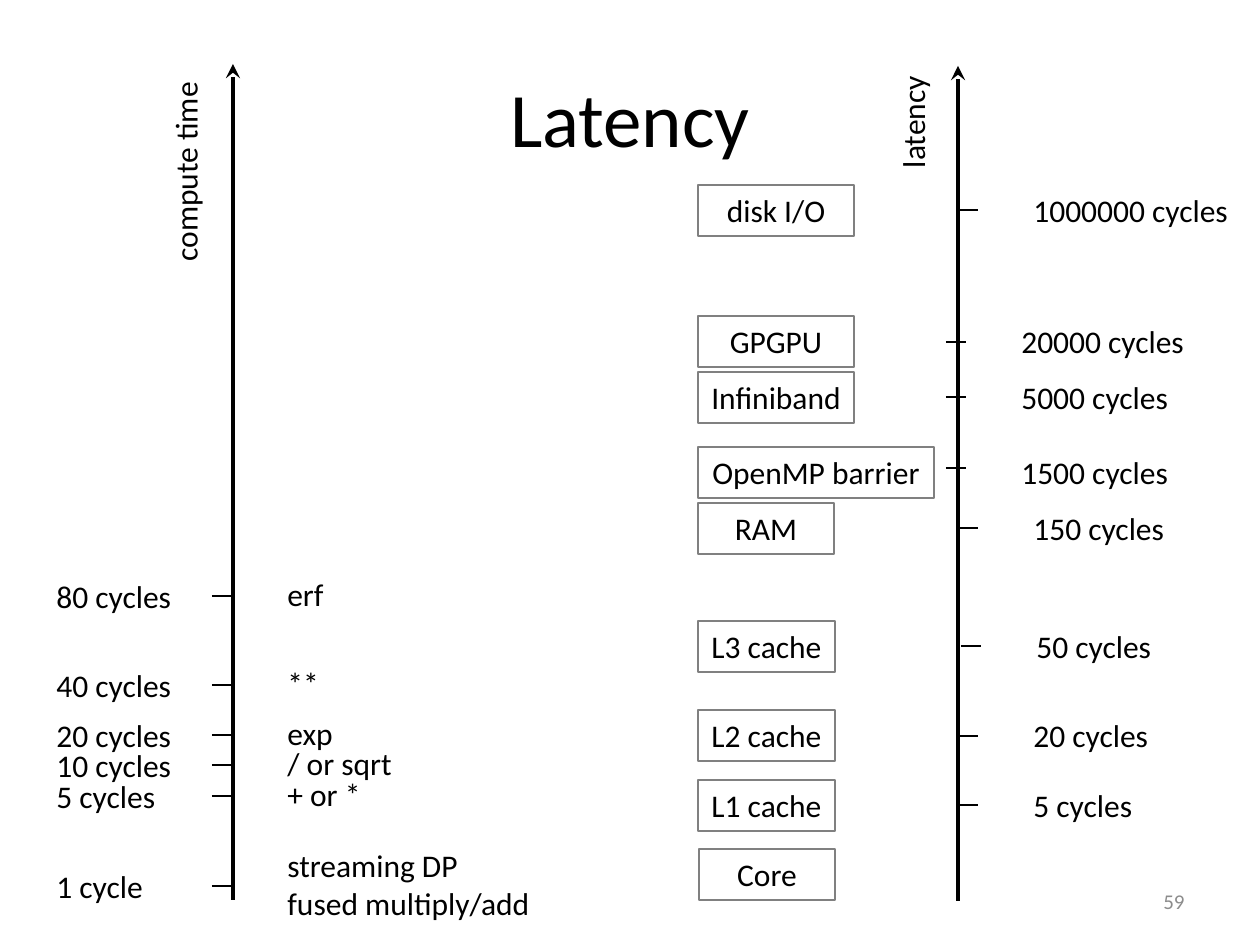
import pptx
import pptx.util
import pptx.dml.color
import pptx.enum.shapes
import pptx.enum.text
import pptx.oxml
import pptx.oxml.ns

ALIGN = pptx.enum.text.PP_ALIGN
ANCHOR = pptx.enum.text.MSO_ANCHOR
AUTO = pptx.enum.text.MSO_AUTO_SIZE

# Content: what, box width, cycles, label width, row top, tick y, tick x
LATENCIES = [
    ("L1 cache", 137, "5 cycles", 125, 780, 805, 958),
    ("L2 cache", 137, "20 cycles", 141, 710, 736, 958),
    ("L3 cache", 137, "50 cycles", 141, 621, 646, 961),
    ("RAM", 136, "150 cycles", 158, 503, 528, 958),
    ("OpenMP barrier", 236, "1500 cycles", 174, 447, 468, 946),
    ("Infiniband", 156, "5000 cycles", 174, 372, 397, 946),
    ("GPGPU", 156, "20000 cycles", 190, 316, 342, 946),
    ("disk I/O", 156, "1000000 cycles", 222, 185, 210, 958),
]
# Content: cycles, label width, operation, operation width, height, tick y
COMPUTE_TIMES = [
    ("1 cycle", 113, "streaming DP\vfused multiply/add", 271, 89, 886),
    ("5 cycles", 125, "+ or *", 100, 51, 796),
    ("10 cycles", 141, "/ or sqrt", 131, 51, 765),
    ("20 cycles", 141, "exp", 72, 51, 735),
    ("40 cycles", 141, "**", 57, 51, 685),
    ("80 cycles", 141, "erf", 62, 51, 596),
]
# Content: axis name, its left, top and width, axis x, bottom, top
AXES = [
    ("latency", 854, 96, 118, 958, 901, 66),
    ("compute time", 82, 145, 207, 233, 900, 64),
]

THEME = {
    "font": "Calibri", "ink": "000000", "border": "808080", "muted": "8C8C8C",
    "title": 44, "body": 18, "number": 12,
    "axis": 2.75, "tick": 1.5, "frame": 0.75,
}
ROW_H, TICK_W = 51, 20
BOX_X, LABEL_GAP = 698, 63
CYCLES_X, TICK_X, OPERATION_X = 44, 212, 275


def px(count):
    return round(count * 914400 / 126)


def rgb(name):
    return pptx.dml.color.RGBColor.from_string(THEME[name])


def write(shape, text, size="body", color="ink", align=ALIGN.LEFT, **frame):
    shape.text_frame.text = text
    for key, value in frame.items():
        setattr(shape.text_frame, key, value)
    paragraph = shape.text_frame.paragraphs[0]
    paragraph.alignment = align
    look = {"name": THEME["font"], "size": pptx.util.Pt(THEME[size])}
    for run in paragraph.runs:
        for key, value in look.items():
            setattr(run.font, key, value)
        run.font.color.rgb = rgb(color)


def add_label(shapes, text, x, y, w, h=ROW_H):
    label = shapes.add_textbox(*map(px, (x, y, w, h)))
    write(label, text, word_wrap=False, auto_size=AUTO.SHAPE_TO_FIT_TEXT)
    return label


def add_box(shapes, text, x, y, w):
    box = shapes.add_shape(pptx.enum.shapes.MSO_SHAPE.RECTANGLE,
                           *map(px, (x, y, w, ROW_H)))
    box.shadow.inherit = False
    box.fill.background()
    box.line.color.rgb = rgb("border")
    box.line.width = pptx.util.Pt(THEME["frame"])
    write(box, text, align=ALIGN.CENTER, word_wrap=False,
          vertical_anchor=ANCHOR.TOP)


def add_line(shapes, x1, y1, x2, y2, weight, arrow=False):
    line = shapes.add_connector(pptx.enum.shapes.MSO_CONNECTOR.STRAIGHT,
                                *map(px, (x1, y1, x2, y2)))
    line.line.color.rgb = rgb("ink")
    line.line.width = pptx.util.Pt(THEME[weight])
    if arrow:
        line.line._get_or_add_ln().append(pptx.oxml.parse_xml(
            f'<a:tailEnd {pptx.oxml.ns.nsdecls("a")} type="stealth"/>'))
    line._element.spPr.append(pptx.oxml.parse_xml(
        f'<a:effectLst {pptx.oxml.ns.nsdecls("a")}/>'))


def main():
    deck = pptx.Presentation()
    deck.slide_width, deck.slide_height = px(1260), px(945)
    slide = deck.slides.add_slide(deck.slide_layouts[5])
    shapes = slide.shapes

    # Title
    title = shapes.title
    place = {"left": 63, "top": 38, "width": 1134, "height": 158}
    for key, value in place.items():
        setattr(title, key, px(value))
    write(title, "Latency", "title", align=ALIGN.CENTER,
          vertical_anchor=ANCHOR.MIDDLE)

    # Axes, read upwards
    for name, left, top, width, x, bottom, tip in AXES:
        add_line(shapes, x, bottom, x, tip, "axis", arrow=True)
        add_label(shapes, name, left, top, width).rotation = 270

    # Latency: box, tick and cycles per row
    add_box(shapes, "Core", 699, 849, 136)
    for name, box_w, cycles, label_w, top, tick_y, tick_x in LATENCIES:
        row = shapes.add_group_shape().shapes
        add_box(row, name, BOX_X, top, box_w)
        add_label(row, cycles, tick_x + LABEL_GAP, top, label_w)
        add_line(row, tick_x, tick_y, tick_x + TICK_W, tick_y, "tick")

    # Compute time: cycles, tick and operation per row
    for cycles, label_w, operation, width, height, tick_y in COMPUTE_TIMES:
        row = shapes.add_group_shape().shapes
        add_label(row, cycles, CYCLES_X, tick_y - 25, label_w)
        add_label(row, operation, OPERATION_X, tick_y - 2 - height // 2,
                  width, height)
        add_line(row, TICK_X, tick_y, TICK_X + TICK_W, tick_y, "tick")

    # Slide number
    number = shapes.add_textbox(*map(px, (903, 876, 294, 50)))
    write(number, "59", "number", "muted", ALIGN.RIGHT,
          word_wrap=True, vertical_anchor=ANCHOR.MIDDLE)

    deck.save("out.pptx")


if __name__ == "__main__":
    main()
